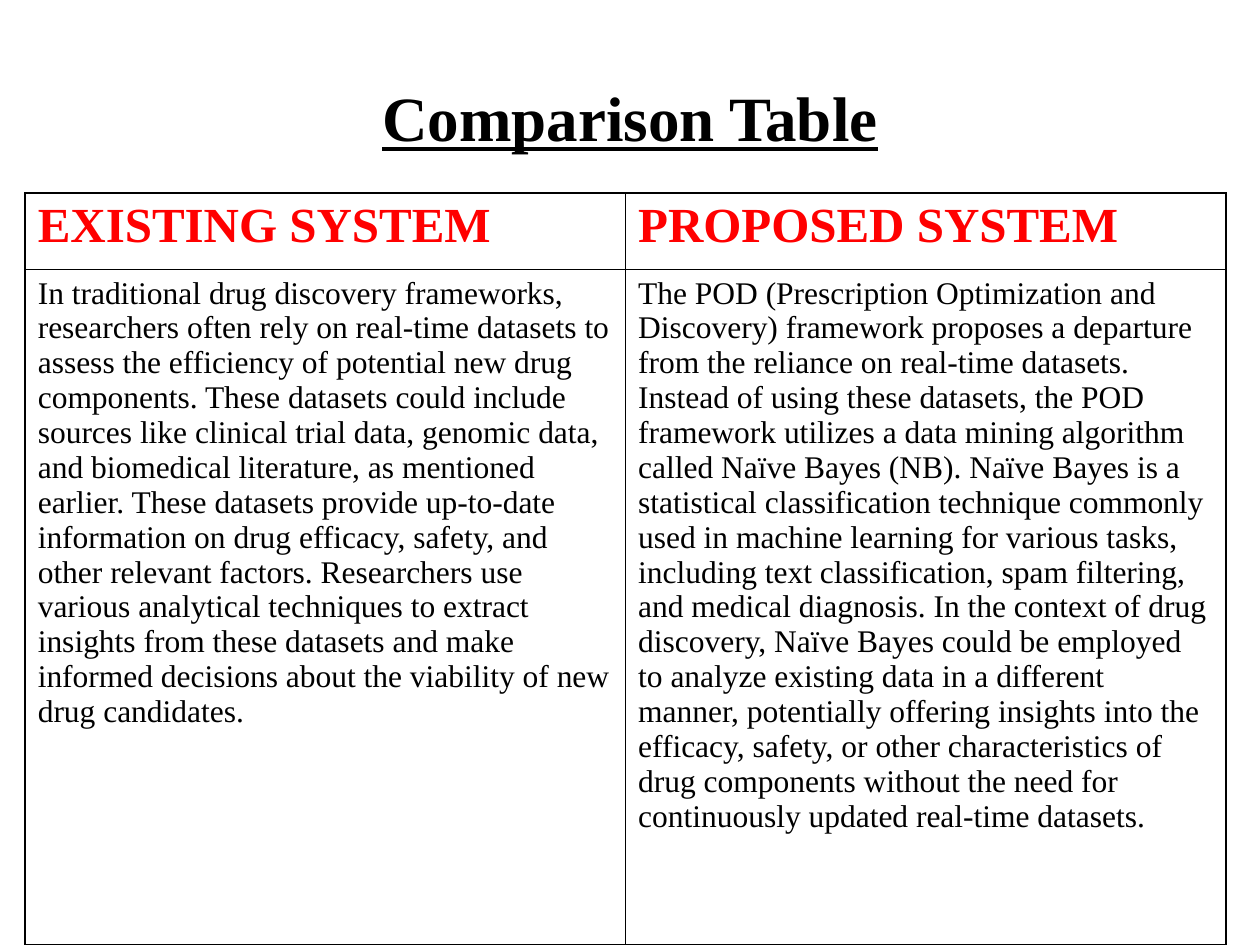
import pptx
import pptx.dml.color
import pptx.enum.text
import pptx.oxml
import pptx.oxml.ns
import pptx.util
from pptx.util import Inches

COLORS = {"text": "000000", "heading": "FF0000", "border": "000000"}
FONT = "Times New Roman"


def add_run(paragraph, text, size, color, bold=False, underline=False):
    run = paragraph.add_run()
    run.text = text
    run.font.name = FONT
    run.font.size = pptx.util.Pt(size)
    run.font.bold = bold
    run.font.underline = underline
    run.font.color.rgb = pptx.dml.color.RGBColor.from_string(COLORS[color])


def add_borders(cell):
    properties = cell._tc.get_or_add_tcPr()
    for position, side in enumerate(("lnL", "lnR", "lnT", "lnB")):
        properties.insert(position, pptx.oxml.parse_xml(
            f'<a:{side} {pptx.oxml.ns.nsdecls("a")} w="12700"><a:solidFill>'
            f'<a:srgbClr val="{COLORS["border"]}"/></a:solidFill></a:{side}>'))


deck = pptx.Presentation()
deck.slide_width, deck.slide_height = Inches(10), Inches(7.5)
slide = deck.slides.add_slide(deck.slide_layouts[6])

# Title
title = slide.shapes.add_textbox(Inches(0.5), Inches(0.3), Inches(9), Inches(1.25)).text_frame
title.word_wrap = True
title.vertical_anchor = pptx.enum.text.MSO_ANCHOR.MIDDLE
title.paragraphs[0].alignment = pptx.enum.text.PP_ALIGN.CENTER
add_run(title.paragraphs[0], "Comparison Table", 36, "text", bold=True, underline=True)

# Each system: heading and description
systems = [
    ("EXISTING SYSTEM",
     "In traditional drug discovery frameworks, researchers often rely on real-time datasets "
     "to assess the efficiency of potential new drug components. These datasets could include "
     "sources like clinical trial data, genomic data, and biomedical literature, as mentioned "
     "earlier. These datasets provide up-to-date information on drug efficacy, safety, and "
     "other relevant factors. Researchers use various analytical techniques to extract insights "
     "from these datasets and make informed decisions about the viability of new drug candidates."),
    ("PROPOSED SYSTEM",
     "The POD (Prescription Optimization and Discovery) framework proposes a departure from the "
     "reliance on real-time datasets. Instead of using these datasets, the POD framework utilizes "
     "a data mining algorithm called Naïve Bayes (NB). Naïve Bayes is a statistical classification "
     "technique commonly used in machine learning for various tasks, including text classification, "
     "spam filtering, and medical diagnosis. In the context of drug discovery, Naïve Bayes could be "
     "employed to analyze existing data in a different manner, potentially offering insights into "
     "the efficacy, safety, or other characteristics of drug components without the need for "
     "continuously updated real-time datasets."),
]

# Comparison table, one column per system
comparison = slide.shapes.add_table(
    2, len(systems), Inches(0.2), Inches(1.53), Inches(9.53), Inches(5.97)).table
comparison.first_row = False
comparison.horz_banding = False
comparison.rows[0].height = Inches(0.61)
comparison.rows[1].height = Inches(5.36)

for column, (heading, description) in enumerate(systems):
    heading_cell = comparison.cell(0, column)
    description_cell = comparison.cell(1, column)
    add_run(heading_cell.text_frame.paragraphs[0], heading, 28, "heading", bold=True)
    add_run(description_cell.text_frame.paragraphs[0], description, 18, "text")
    for cell in (heading_cell, description_cell):
        cell.fill.background()
        add_borders(cell)

deck.save("out.pptx")
